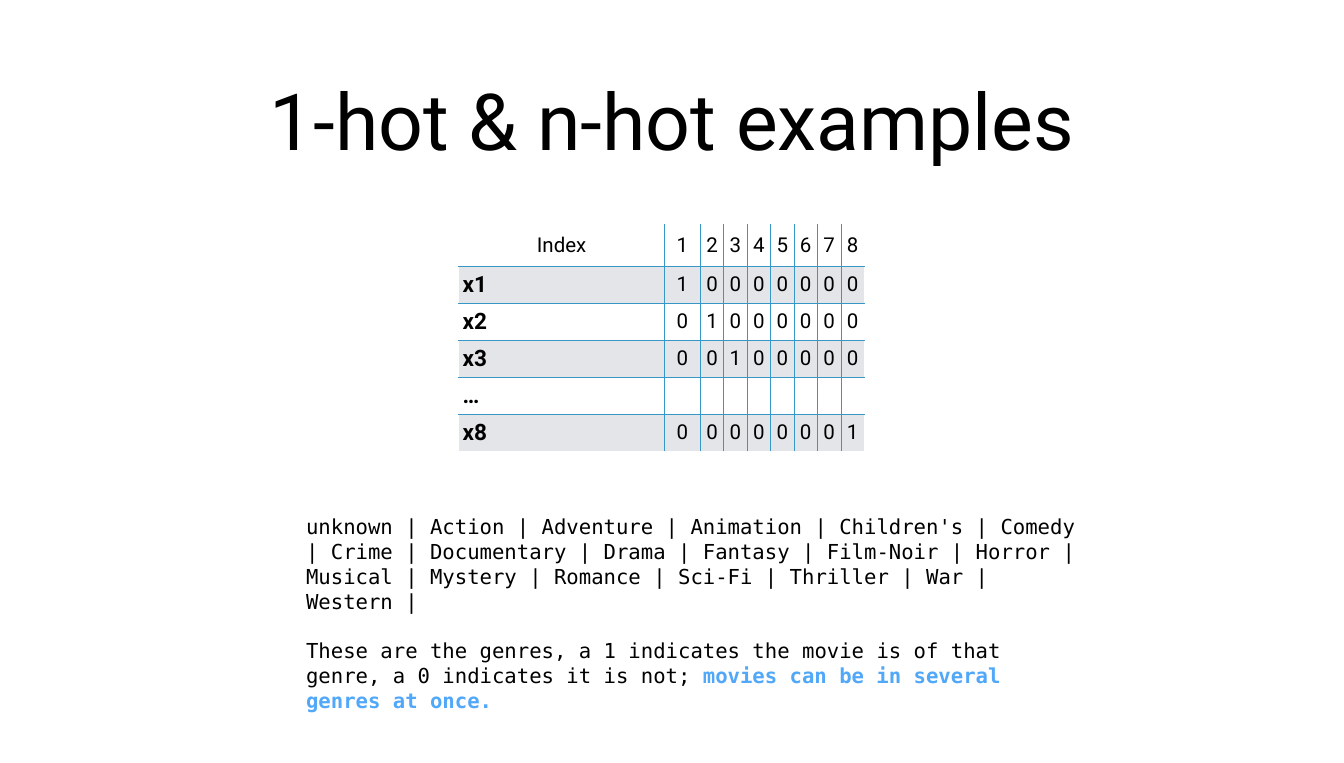
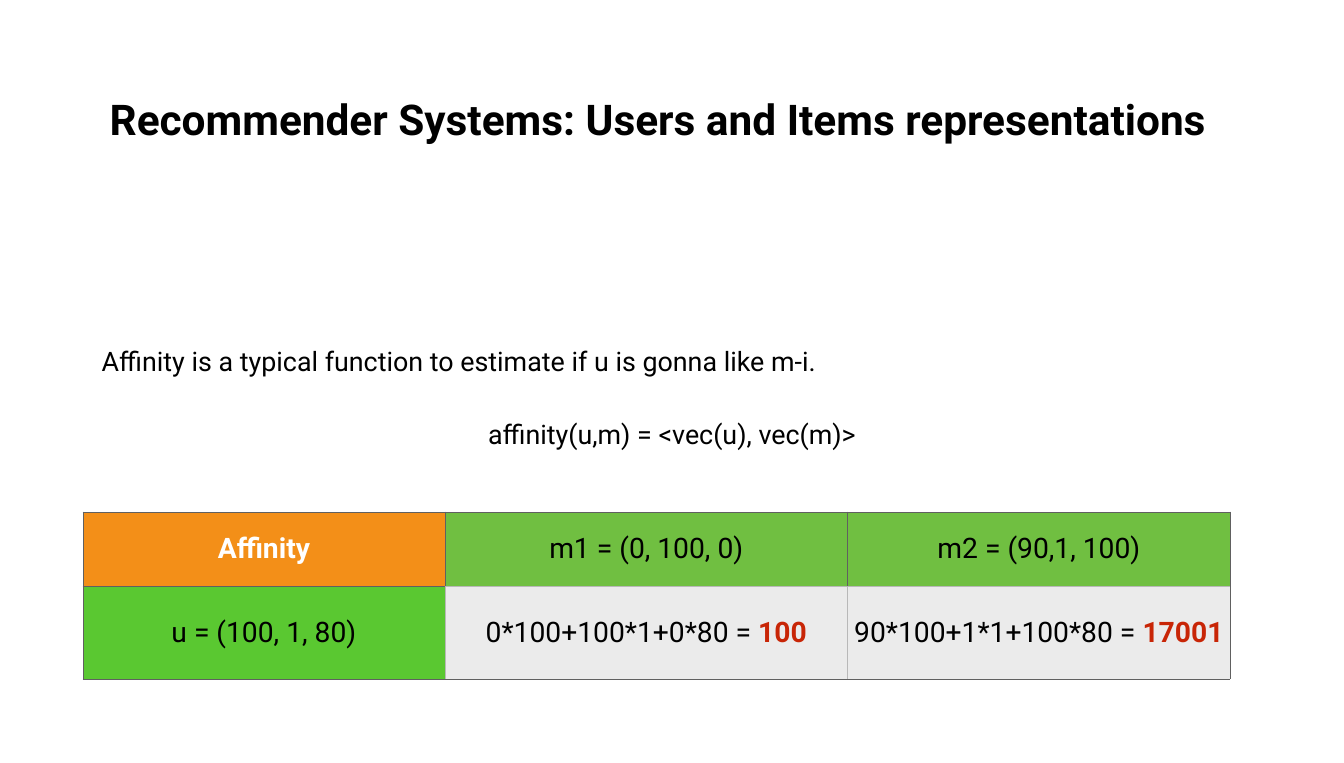
from lxml import etree
from pptx import Presentation
from pptx.dml.color import RGBColor
from pptx.enum.text import MSO_ANCHOR, MSO_AUTO_SIZE, PP_ALIGN
from pptx.oxml.ns import qn
from pptx.util import Cm, Pt

LEFT = PP_ALIGN.LEFT
CENTER = PP_ALIGN.CENTER
TOP = MSO_ANCHOR.TOP
MIDDLE = MSO_ANCHOR.MIDDLE
NO_AUTOFIT = MSO_AUTO_SIZE.NONE

SANS = "Roboto"
MONO = "DejaVu Sans Mono"
BLACK = "000000"
WHITE = "FFFFFF"
BAND = "E3E5E8"
GRID_BLUE = "3797C6"
HIGHLIGHT = "51A8F9"
ORANGE = "F38F18"
GREEN = "70BF41"
BRIGHT_GREEN = "5AC831"
VALUE_FILL = "EBEBEB"
RED = "C82506"
DARK_LINE = "606060"
LIGHT_LINE = "B8B8B8"


def write_run(paragraph, text, size, color=BLACK, bold=False, name=SANS):
    run = paragraph.add_run()
    run.text = text
    formats = {"size": Pt(size), "bold": bold, "name": name}
    for attribute, value in formats.items():
        setattr(run.font, attribute, value)
    run.font.color.rgb = RGBColor.from_string(color)


def format_cell(cell, fill, borders):
    formats = dict.fromkeys(
        ("margin_left", "margin_right", "margin_top", "margin_bottom"), Cm(0.2)
    )
    formats["vertical_anchor"] = MIDDLE
    for attribute, value in formats.items():
        setattr(cell, attribute, value)
    properties = cell._tc.get_or_add_tcPr()
    for side in "LRTB":
        if side in borders:
            line = etree.SubElement(properties, qn(f"a:ln{side}"), w=str(Pt(1)))
            solid = etree.SubElement(line, qn("a:solidFill"))
            etree.SubElement(solid, qn("a:srgbClr"), val=borders[side])
    cell.fill.solid()
    cell.fill.fore_color.rgb = RGBColor.from_string(fill)


presentation = Presentation()
presentation.slide_width = Cm(67.13)
presentation.slide_height = Cm(38.13)

title_specs = [
    (5, "1-hot & n-hot examples", 111.5, False, 57.28),
    (1, "Recommender Systems: Users and Items representations", 60, True, 60.2),
]
slides = []
for layout, text, size, bold, width in title_specs:
    slide = presentation.slides.add_slide(presentation.slide_layouts[layout])
    title = slide.shapes.title
    title.left = Cm(4.93 - (width - 57.28) * 0.74)
    title.top, title.width, title.height = Cm(1.73), Cm(width), Cm(8.43)
    frame = title.text_frame
    frame.auto_size = NO_AUTOFIT
    frame.vertical_anchor = MIDDLE
    frame.margin_left = frame.margin_right = Cm(0.15)
    frame.paragraphs[0].alignment = CENTER
    write_run(frame.paragraphs[0], text, size, bold=bold)
    slides.append(slide)
encoding_slide, affinity_slide = slides

row_labels = ["Index", "x1", "x2", "x3", "…", "x8"]
hot_indexes = {1: 1, 2: 2, 3: 3, 5: 8}
column_widths = [10.29, 1.78] + [1.17] * 7
row_heights = [2.11] + [1.85] * 5
last_row, last_column = len(row_heights) - 1, len(column_widths) - 1
table = encoding_slide.shapes.add_table(
    len(row_heights), len(column_widths), Cm(22.91), Cm(11.2),
    Cm(sum(column_widths)), Cm(sum(row_heights)),
).table
table.first_row = table.horz_banding = False
for column, width in zip(table.columns, column_widths):
    column.width = Cm(width)
for row_index, height in enumerate(row_heights):
    table.rows[row_index].height = Cm(height)
    for column_index in range(len(column_widths)):
        cell = table.cell(row_index, column_index)
        inner_sides = {
            "L": column_index > 0, "R": column_index < last_column,
            "T": row_index > 0, "B": row_index < last_row,
        }
        borders = {side: GRID_BLUE for side, inner in inner_sides.items() if inner}
        format_cell(cell, BAND if row_index % 2 else WHITE, borders)
        is_label = column_index == 0 and row_index > 0
        if column_index == 0:
            text = row_labels[row_index]
        elif row_index == 0:
            text = str(column_index)
        elif row_index in hot_indexes:
            text = str(int(hot_indexes[row_index] == column_index))
        else:
            continue
        paragraph = cell.text_frame.paragraphs[0]
        paragraph.alignment = LEFT if is_label else CENTER
        write_run(paragraph, text, 32 if is_label else 29, bold=is_label)

genres = [
    "unknown", "Action", "Adventure", "Animation", "Children's", "Comedy",
    "Crime", "Documentary", "Drama", "Fantasy", "Film-Noir", "Horror",
    "Musical", "Mystery", "Romance", "Sci-Fi", "Thriller", "War", "Western",
]
genre_box = encoding_slide.shapes.add_textbox(Cm(15.09), Cm(25.45), Cm(39.07), Cm(10.39))
frame = genre_box.text_frame
frame.word_wrap = True
frame.vertical_anchor = MIDDLE
frame.margin_left = frame.margin_right = Cm(0.2)
genre_paragraph = frame.paragraphs[0]
write_run(genre_paragraph, " | ".join(genres) + " |", 29.2, name=MONO)
note_paragraph = frame.add_paragraph()
note_paragraph.space_before = Pt(34)
write_run(
    note_paragraph,
    "These are the genres, a 1 indicates the movie is of that genre, a 0 indicates it is not; ",
    29.2, name=MONO,
)
write_run(
    note_paragraph, "movies can be in several genres at once.",
    29.2, HIGHLIGHT, True, MONO,
)
for paragraph in frame.paragraphs:
    paragraph.line_spacing = Pt(35.3)

body = affinity_slide.placeholders[1]
body.left, body.top, body.width, body.height = Cm(4.93), Cm(17.07), Cm(57.28), Cm(5.8)
frame = body.text_frame
frame.auto_size = NO_AUTOFIT
frame.vertical_anchor = TOP
for side in ("left", "right", "top", "bottom"):
    setattr(frame, f"margin_{side}", Cm(0.15))
body_lines = [
    ("Affinity is a typical function to estimate if u is gonna like m-i.", LEFT, 0),
    ("affinity(u,m) = <vec(u), vec(m)>", CENTER, 58.5),
]
for index, (text, alignment, space_before) in enumerate(body_lines):
    paragraph = frame.add_paragraph() if index else frame.paragraphs[0]
    properties = paragraph._p.get_or_add_pPr()
    properties.set("marL", "0")
    properties.set("indent", "0")
    etree.SubElement(properties, qn("a:buNone"))
    paragraph.alignment = alignment
    paragraph.space_before = Pt(space_before)
    write_run(paragraph, text, 38)

affinity_rows = [
    [
        (ORANGE, [("Affinity", WHITE, True)]),
        (GREEN, [("m1 = (0, 100, 0)", BLACK, False)]),
        (GREEN, [("m2 = (90,1, 100)", BLACK, False)]),
    ],
    [
        (BRIGHT_GREEN, [("u = (100, 1, 80)", BLACK, False)]),
        (VALUE_FILL, [("0*100+100*1+0*80 = ", BLACK, False), ("100", RED, True)]),
        (VALUE_FILL, [("90*100+1*1+100*80 = ", BLACK, False), ("17001", RED, True)]),
    ],
]
column_widths = [18.08, 20.12, 19.1]
row_heights = [3.71, 4.65]
table = affinity_slide.shapes.add_table(
    2, 3, Cm(4.14), Cm(25.58), Cm(sum(column_widths)), Cm(sum(row_heights))
).table
table.first_row = table.horz_banding = False
for column, width in zip(table.columns, column_widths):
    column.width = Cm(width)
for row_index, cells in enumerate(affinity_rows):
    table.rows[row_index].height = Cm(row_heights[row_index])
    for column_index, (fill, runs) in enumerate(cells):
        cell = table.cell(row_index, column_index)
        light_sides = {
            "L": row_index == 1 and column_index > 0,
            "R": row_index == 1 and column_index < 2,
            "T": row_index == 1 and column_index > 0,
            "B": row_index == 0 and column_index > 0,
        }
        borders = {
            side: LIGHT_LINE if light else DARK_LINE
            for side, light in light_sides.items()
        }
        format_cell(cell, fill, borders)
        paragraph = cell.text_frame.paragraphs[0]
        paragraph.alignment = CENTER
        for text, color, bold in runs:
            write_run(paragraph, text, 40, color, bold)

presentation.save("out.pptx")
